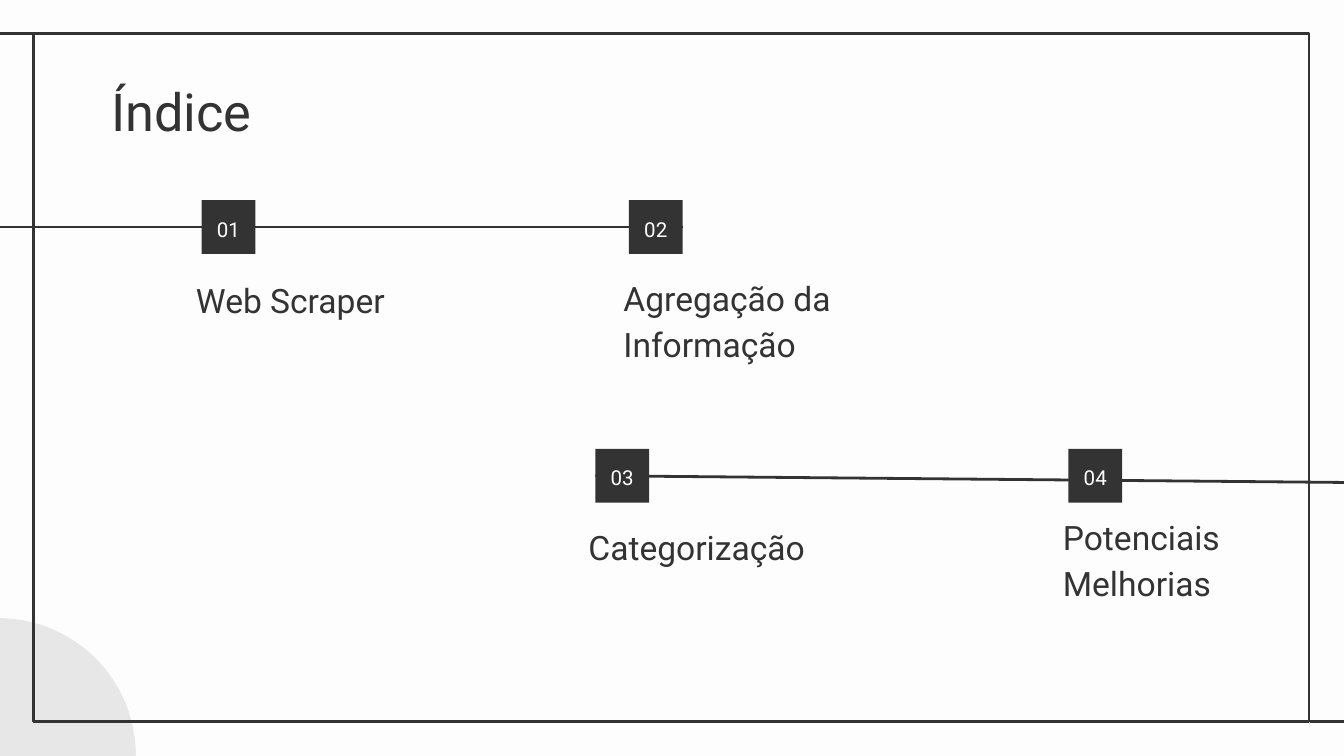
import dataclasses

import pptx
import pptx.dml.color
import pptx.enum.shapes
import pptx.enum.text
import pptx.oxml
import pptx.oxml.ns
import pptx.util

Inches = pptx.util.Inches
Align = pptx.enum.text.PP_ALIGN
Anchor = pptx.enum.text.MSO_ANCHOR
Kind = pptx.enum.shapes.MSO_SHAPE

COLORS = {"back": "FDFDFD", "dark": "333333", "disc": "E8E7E7"}
FONT = "Roboto"
SIDE = 0.4


@dataclasses.dataclass
class Topic:
    num: str
    name: str
    box: tuple[float, float]    # left, top of the number square
    label: tuple[float, float]  # left, top of the label


TOPICS = [
    Topic("01", "Web Scraper", (1.5, 1.49), (1.36, 2.06)),
    Topic("02", "Agregação da Informação", (4.68, 1.49), (4.54, 2.39)),
    Topic("03", "Categorização", (4.43, 3.34), (4.28, 3.9)),
    Topic("04", "Potenciais Melhorias", (7.95, 3.34), (7.81, 4.17)),
]


def color(name: str) -> pptx.dml.color.RGBColor:
    return pptx.dml.color.RGBColor.from_string(COLORS[name])


def write(shape, text: str, size: float, ink: str, anchor, align=Align.LEFT,
          space: float = 1.0) -> None:
    frame = shape.text_frame
    frame.text = text
    frame.word_wrap = True
    frame.auto_size = pptx.enum.text.MSO_AUTO_SIZE.NONE
    frame.vertical_anchor = anchor
    frame.margin_left = frame.margin_right = Inches(0.1)
    frame.margin_top = frame.margin_bottom = Inches(0.1)
    para = frame.paragraphs[0]
    para.alignment = align
    para.line_spacing = space
    para.space_before = pptx.util.Pt(0)
    font = para.runs[0].font
    font.name = FONT
    font.size = pptx.util.Pt(size)
    font.color.rgb = color(ink)


def add_shape(slide, kind, left: float, top: float, width: float,
              height: float, fill: str | None = None):
    shape = slide.shapes.add_shape(
        kind, Inches(left), Inches(top), Inches(width), Inches(height))
    shape.shadow.inherit = False
    if fill:
        shape.fill.solid()
        shape.fill.fore_color.rgb = color(fill)
        shape.line.fill.background()
    else:
        shape.fill.background()
        shape.line.color.rgb = color("dark")
        shape.line.width = pptx.util.Pt(1.5)
    return shape


def add_line(slide, x1: float, y1: float, x2: float, y2: float):
    line = slide.shapes.add_connector(
        pptx.enum.shapes.MSO_CONNECTOR.STRAIGHT,
        Inches(x1), Inches(y1), Inches(x2), Inches(y2))
    line.line.color.rgb = color("dark")
    line.line.width = pptx.util.Pt(1.5)
    props = line._element.spPr
    props.append(pptx.oxml.parse_xml(
        f"<a:effectLst {pptx.oxml.ns.nsdecls('a')}/>"))
    return line


def add_topic(slide, topic: Topic):
    square = add_shape(slide, Kind.RECTANGLE, *topic.box, SIDE, SIDE, "dark")
    write(square, topic.num, 11, "back", Anchor.MIDDLE, Align.CENTER, 1.15)
    left, top = topic.label
    label = slide.shapes.add_textbox(
        Inches(left), Inches(top), Inches(2.52), Inches(0.42))
    write(label, topic.name, 18, "dark", Anchor.BOTTOM, space=1.15)
    return square


def main() -> None:
    # Widescreen page, 16 to 9
    deck = pptx.Presentation()
    deck.slide_width = Inches(10)
    deck.slide_height = deck.slide_width * 9 // 16
    slide = deck.slides.add_slide(deck.slide_layouts[5])
    slide.background.fill.solid()
    slide.background.fill.fore_color.rgb = color("back")

    # Corner disc and frame
    add_shape(slide, Kind.OVAL, -1.03, 4.6, 2.04, 2.04, "disc")
    add_shape(slide, Kind.RECTANGLE, 0.25, 0.25, 9.49, 5.12)
    add_line(slide, 0.26, 0.25, -0.02, 0.25)
    add_line(slide, 10.03, 5.37, 9.75, 5.37)

    # Title
    title = slide.shapes.title
    title.left, title.top = Inches(0.73), Inches(0.49)
    title.width, title.height = Inches(8.43), Inches(0.63)
    write(title, "Índice", 28, "dark", Anchor.TOP)

    # Time lines lie behind the squares they join
    low = add_line(slide, 4.43, 3.54, 10, 3.59)
    high = add_line(slide, -0.08, 1.69, 5.08, 1.69)
    squares = [add_topic(slide, topic) for topic in TOPICS]
    high.end_connect(squares[1], 3)
    low.begin_connect(squares[2], 1)

    deck.save("out.pptx")


if __name__ == "__main__":
    main()
